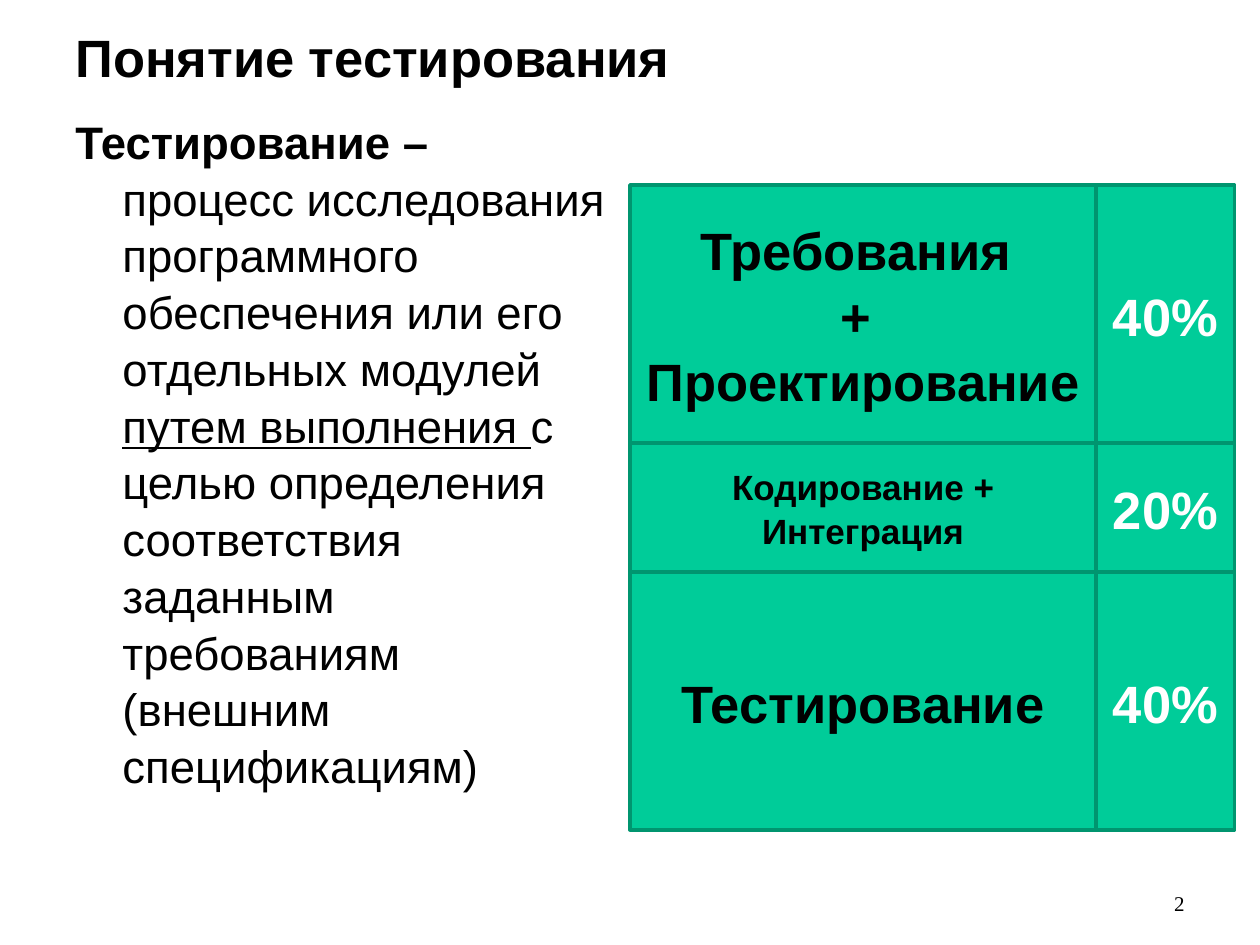
from dataclasses import dataclass, field
from itertools import accumulate

from pptx import Presentation
from pptx.dml.color import RGBColor
from pptx.enum.shapes import MSO_SHAPE
from pptx.enum.text import MSO_ANCHOR, PP_ALIGN
from pptx.shapes.autoshape import Shape
from pptx.slide import Slide
from pptx.text.text import TextFrame
from pptx.util import Cm, Pt


@dataclass(frozen=True)
class Theme:
    font: str = "Arial"
    number_font: str = "Times New Roman"
    black: RGBColor = RGBColor(0x00, 0x00, 0x00)
    white: RGBColor = RGBColor(0xFF, 0xFF, 0xFF)
    cell_fill: RGBColor = RGBColor(0x00, 0xCC, 0x99)
    cell_line: RGBColor = RGBColor(0x00, 0x95, 0x6F)
    line_width: Pt = Pt(2)
    line_spacing: float = 1.04
    heading_size: Pt = Pt(30)
    body_size: Pt = Pt(26)
    small_size: Pt = Pt(20)
    number_size: Pt = Pt(12)


THEME = Theme()


@dataclass(frozen=True)
class Run:
    text: str
    size: Pt = THEME.heading_size
    color: RGBColor = THEME.black
    format: dict = field(default_factory=dict)


@dataclass(frozen=True)
class Box:
    """Position and size in centimetres."""
    left: float
    top: float
    width: float
    height: float

    def lengths(self) -> tuple:
        return Cm(self.left), Cm(self.top), Cm(self.width), Cm(self.height)


@dataclass(frozen=True)
class Stage:
    lines: tuple[str, ...]
    share: str
    height: float
    size: Pt = THEME.heading_size


BOLD = {"bold": True}
STAGES = (
    Stage(("Требования ", "+ ", "Проектирование"), "40%", 5.2),
    Stage(("Кодирование + Интеграция",), "20%", 2.6, THEME.small_size),
    Stage(("Тестирование",), "40%", 5.2),
)
GRID_LEFT, GRID_TOP = 12.7, 3.73
NAME_WIDTH, SHARE_WIDTH = 9.4, 2.79

DEFINITION = (
    Run("Тестирование – ", THEME.body_size, format=BOLD),
    Run("процесс исследования программного обеспечения или его отдельных модулей ",
        THEME.body_size),
    Run("путем выполнения ", THEME.body_size, format={"underline": True}),
    Run("с целью определения соответствия заданным требованиям "
        "(внешним спецификациям)", THEME.body_size),
)


def write_text(frame: TextFrame, paragraphs: list[tuple[Run, ...]],
               alignment: PP_ALIGN, anchor: MSO_ANCHOR) -> None:
    frame.word_wrap = True
    frame.vertical_anchor = anchor
    for index, runs in enumerate(paragraphs):
        paragraph = frame.add_paragraph() if index else frame.paragraphs[0]
        paragraph.alignment = alignment
        paragraph.line_spacing = THEME.line_spacing
        for item in runs:
            run = paragraph.add_run()
            run.text = item.text
            run.font.color.rgb = item.color
            values = {"name": THEME.font, "size": item.size, "bold": False}
            for name, value in (values | item.format).items():
                setattr(run.font, name, value)


def add_text(slide: Slide, box: Box, runs: tuple[Run, ...],
             alignment: PP_ALIGN = PP_ALIGN.LEFT,
             anchor: MSO_ANCHOR = MSO_ANCHOR.TOP) -> Shape:
    shape = slide.shapes.add_textbox(*box.lengths())
    write_text(shape.text_frame, [runs], alignment, anchor)
    return shape


def add_cell(slide: Slide, box: Box, runs: list[Run]) -> None:
    """Draw a green rectangle with one centred paragraph per run."""
    shape = slide.shapes.add_shape(MSO_SHAPE.RECTANGLE, *box.lengths())
    shape.shadow.inherit = False
    shape.fill.solid()
    shape.fill.fore_color.rgb = THEME.cell_fill
    shape.line.color.rgb = THEME.cell_line
    shape.line.width = THEME.line_width
    write_text(shape.text_frame, [(run,) for run in runs],
               PP_ALIGN.CENTER, MSO_ANCHOR.MIDDLE)


def add_stages(slide: Slide) -> None:
    tops = accumulate((stage.height for stage in STAGES), initial=GRID_TOP)
    for stage, top in zip(STAGES, tops):
        add_cell(slide, Box(GRID_LEFT, top, NAME_WIDTH, stage.height),
                 [Run(line, stage.size, format=BOLD) for line in stage.lines])
        add_cell(slide, Box(GRID_LEFT + NAME_WIDTH, top, SHARE_WIDTH, stage.height),
                 [Run(stage.share, color=THEME.white, format=BOLD)])


def add_definition(slide: Slide) -> None:
    shape = add_text(slide, Box(1.27, 2.13, 11.23, 14.5), DEFINITION)
    properties = shape.text_frame.paragraphs[0]._p.get_or_add_pPr()
    hanging = Cm(0.95)
    properties.set("marL", str(hanging))
    properties.set("indent", str(-hanging))


def main() -> None:
    presentation = Presentation()
    presentation.slide_width, presentation.slide_height = Cm(25.4), Cm(19.05)
    slide = presentation.slides.add_slide(presentation.slide_layouts[6])
    add_text(slide, Box(1.27, 0.33, 22.86, 3.18),
             (Run("Понятие тестирования", format=BOLD),))
    add_definition(slide)
    add_stages(slide)
    add_text(slide, Box(18.21, 17.35, 5.92, 1.24),
             (Run("2", THEME.number_size, format={"name": THEME.number_font}),),
             PP_ALIGN.RIGHT, MSO_ANCHOR.BOTTOM)
    presentation.save("out.pptx")


if __name__ == "__main__":
    main()
